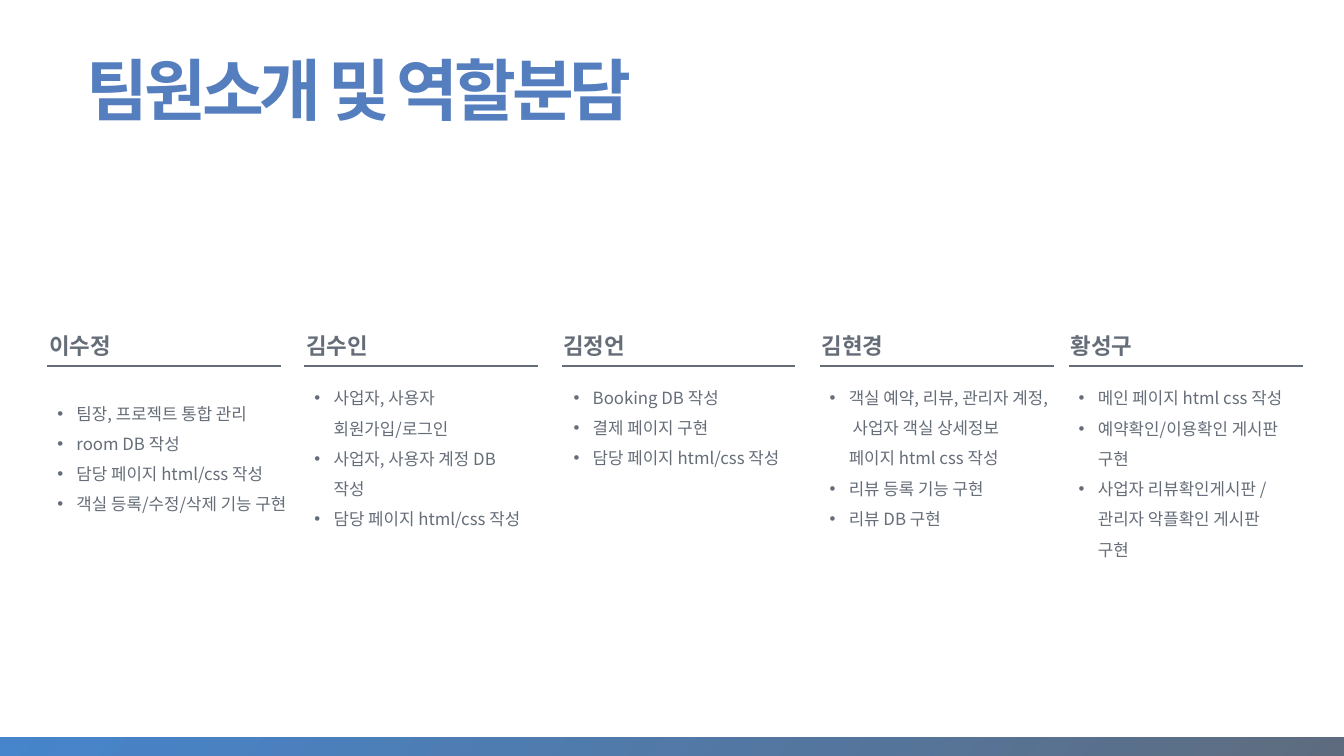
from pptx import Presentation
from pptx.dml.color import RGBColor
from pptx.enum.shapes import MSO_CONNECTOR, MSO_SHAPE
from pptx.enum.text import MSO_ANCHOR, MSO_AUTO_SIZE, PP_ALIGN
from pptx.oxml.ns import qn
from pptx.util import Inches, Pt
from lxml import etree

RECTANGLE = MSO_SHAPE.RECTANGLE
STRAIGHT = MSO_CONNECTOR.STRAIGHT
MIDDLE = MSO_ANCHOR.MIDDLE
FIT_SHAPE = MSO_AUTO_SIZE.SHAPE_TO_FIT_TEXT
CENTER = PP_ALIGN.CENTER

FONT = "Noto Sans CJK KR"
BLUE, GREY = "557EBF", "656D78"
COLUMN_WIDTH = 2.32
NAME_TOP, RULE_TOP = 3.25, 3.63

# name, column left, (task box left, top, width, height), tasks
MEMBERS = [
    ("이수정", 0.47, (0.47, 3.69, 2.47, 1.62),
     ["팀장, 프로젝트 통합 관리", "room DB 작성",
      "담당 페이지 html/css 작성", "객실 등록/수정/삭제 기능 구현"]),
    ("김수인", 3.02, (3.02, 3.69, COLUMN_WIDTH, 1.62),
     ["사업자, 사용자 회원가입/로그인", "사업자, 사용자 계정 DB 작성",
      "담당 페이지 html/css 작성"]),
    ("김정언", 5.57, (5.59, 3.69, COLUMN_WIDTH, 1.01),
     ["Booking DB 작성", "결제 페이지 구현", "담당 페이지 html/css 작성"]),
    ("김현경", 8.13, (8.13, 3.56, COLUMN_WIDTH, 1.87),
     ["객실 예약, 리뷰, 관리자 계정, 사업자 객실 상세정보 페이지 html css 작성",
      "리뷰 등록 기능 구현", "리뷰 DB 구현"]),
    ("황성구", 10.6, (10.6, 3.69, COLUMN_WIDTH, 1.92),
     ["메인 페이지 html css 작성", "예약확인/이용확인 게시판 구현",
      "사업자 리뷰확인게시판 / 관리자 악플확인 게시판 구현"]),
]


def color(value):
    return RGBColor.from_string(value)


def set_indent(para, left, first):
    properties = para._p.get_or_add_pPr()
    properties.set("marL", str(Inches(left)))
    properties.set("indent", str(Inches(first)))
    return properties


def set_font(para, size, tint, bold=False, spacing=0):
    """Style a paragraph for Latin and Korean text; spacing is in points."""
    font = para.font
    font.size, font.bold, font.name = Pt(size), bold, FONT
    font.color.rgb = color(tint)
    defaults = para._p.pPr.find(qn("a:defRPr"))
    etree.SubElement(defaults, qn("a:ea")).set("typeface", FONT)
    if spacing:
        defaults.set("spc", str(spacing * 100))


def add_text_frame(page, box, wrap=True):
    frame = page.shapes.add_textbox(*map(Inches, box)).text_frame
    frame.word_wrap = wrap
    frame.auto_size = FIT_SHAPE
    return frame


def add_footer_bar(page, box):
    bar = page.shapes.add_shape(RECTANGLE, *map(Inches, box))
    bar.shadow.inherit = False
    bar.line.fill.background()
    bar.fill.gradient()
    bar.fill.gradient_angle = 320
    stops = [(0, "1565C0", 79), (1, "44546A", 86)]
    for stop, (position, tint, opacity) in zip(bar.fill.gradient_stops, stops):
        stop.position = position
        stop.color.rgb = color(tint)
        tint_element = stop._gs.find(qn("a:srgbClr"))
        etree.SubElement(tint_element, qn("a:alpha")).set("val", str(opacity * 1000))


def add_title(page, box, text):
    para = add_text_frame(page, box).paragraphs[0]
    para.text = text
    para.level = 1
    para.alignment = CENTER
    set_indent(para, 0.5, 0)
    set_font(para, 48, BLUE, bold=True, spacing=-3)


def add_tasks(page, box, tasks):
    frame = add_text_frame(page, box)
    frame.vertical_anchor = MIDDLE
    for index, task in enumerate(tasks):
        para = frame.add_paragraph() if index else frame.paragraphs[0]
        para.text = task
        para.line_spacing = 1.5
        properties = set_indent(para, 0.19, -0.19)
        etree.SubElement(properties, qn("a:buFont")).set("typeface", "Arial")
        etree.SubElement(properties, qn("a:buChar")).set("char", "•")
        set_font(para, 12, GREY)


def add_member(page, name, left, task_box, tasks):
    add_tasks(page, task_box, tasks)
    para = add_text_frame(page, (left - 0.08, NAME_TOP, 0.88, 0.37), wrap=False).paragraphs[0]
    para.text = name
    set_font(para, 16, GREY, bold=True)
    ends = (left, RULE_TOP, left + COLUMN_WIDTH, RULE_TOP)
    rule = page.shapes.add_connector(STRAIGHT, *map(Inches, ends))
    rule.line.color.rgb = color(GREY)
    rule.line.width = Pt(1)
    etree.SubElement(rule._element.spPr, qn("a:effectLst"))


def main():
    deck = Presentation()
    deck.slide_width, deck.slide_height = Inches(13.33), Inches(7.5)
    page = deck.slides.add_slide(deck.slide_layouts[6])
    add_footer_bar(page, (0, 7.32, 13.33, 0.2))
    add_title(page, (-0.02, 0.43, 6.67, 0.91), "팀원소개 및 역할분담")
    for member in MEMBERS:
        add_member(page, *member)
    deck.save("out.pptx")


if __name__ == "__main__":
    main()
